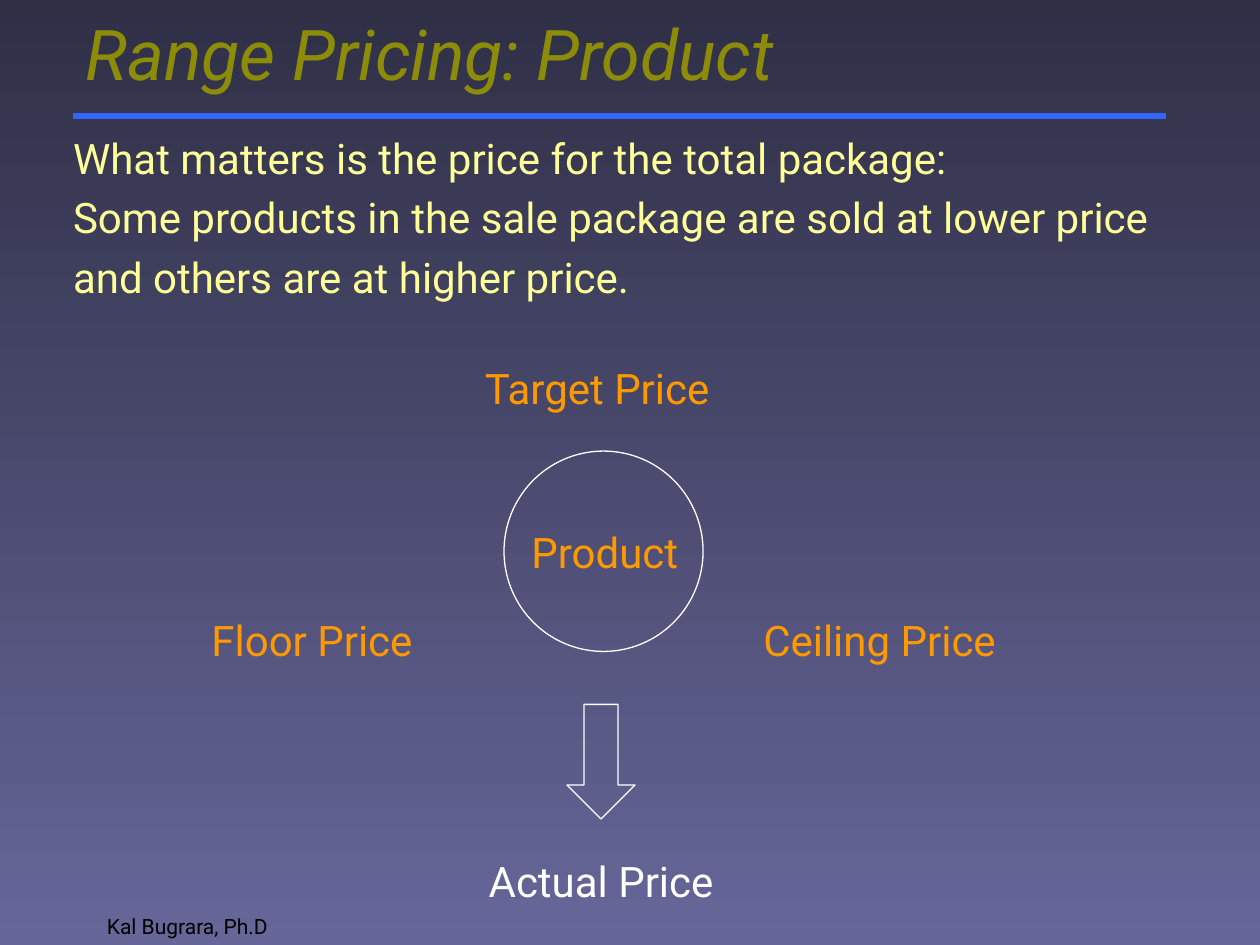
from lxml.etree import SubElement
from pptx import Presentation
from pptx.dml.color import RGBColor
from pptx.enum.shapes import MSO_CONNECTOR, MSO_SHAPE
from pptx.enum.text import MSO_ANCHOR, MSO_AUTO_SIZE, PP_ALIGN
from pptx.oxml.ns import qn
from pptx.util import Inches, Pt

COLORS = {"top": "2F2F46", "bottom": "666699", "rule": "3366FF", "title": "8C8C08",
          "body": "FFFF99", "label": "FF9900", "white": "FFFFFF", "author": "000000"}
FONT = "Roboto"
TITLE = "Range Pricing: Product"
BODY = ["What matters is the price for the total package:",
        "Some products in the sale package are sold at lower price",
        "and others are at higher price."]
LABEL_HEIGHT = 0.5
LABELS = [("Product", 4.12, 4.13, 1.36, "label"),
          ("Target Price", 3.75, 2.83, 2, "label"),
          ("Ceiling Price", 5.96, 4.83, 2.1, "label"),
          ("Floor Price", 1.58, 4.83, 1.83, "label"),
          ("Actual Price", 3.78, 6.74, 2, "white")]
AUTHOR = ("Kal Bugrara, Ph.D", 0.75, 7, 2.08)
OUTLINES = [(MSO_SHAPE.OVAL, (4, 3.58, 1.58, 1.59)),
            (MSO_SHAPE.DOWN_ARROW, (4.5, 5.59, 0.54, 0.91))]
RULE_LEFT, RULE_RIGHT, RULE_Y = 0.58, 9.25, 0.92


def color(name):
    """Return the named palette colour."""
    return RGBColor.from_string(COLORS[name])


def place(part, left, top, width, height):
    """Move and size a part in inches."""
    part.left, part.top, part.width, part.height = map(Inches, (left, top, width, height))


def write(part, lines, size, ink, before=0, anchor=MSO_ANCHOR.TOP, italic=False, wrap=True):
    """Fill a part with left-aligned, unbulleted paragraphs."""
    frame = part.text_frame
    frame.text = "\n".join(lines)
    frame.word_wrap = wrap
    frame.auto_size = MSO_AUTO_SIZE.NONE
    frame.vertical_anchor = anchor
    for paragraph in frame.paragraphs:
        paragraph.alignment = PP_ALIGN.LEFT
        paragraph.space_before = Pt(before)
        paragraph.line_spacing = 1.0
        properties = paragraph._p.get_or_add_pPr()
        properties.set("marL", "0")
        properties.set("indent", "0")
        SubElement(properties, qn("a:buNone"))
        for run in paragraph.runs:
            run.font.name = FONT
            run.font.size = Pt(size)
            run.font.italic = italic
            run.font.color.rgb = color(ink)


deck = Presentation()
deck.slide_width, deck.slide_height = Inches(10), Inches(7.5)
slide = deck.slides.add_slide(deck.slide_layouts[1])
shapes = slide.shapes

backdrop = slide.background.fill
backdrop.gradient()
backdrop.gradient_angle = 270
for stop, name, position in zip(backdrop.gradient_stops, ("top", "bottom"), (0, 1)):
    stop.color.rgb = color(name)
    stop.position = position

rule = shapes.add_connector(MSO_CONNECTOR.STRAIGHT, Inches(RULE_LEFT), Inches(RULE_Y),
                            Inches(RULE_RIGHT), Inches(RULE_Y))
rule.line.color.rgb = color("rule")
rule.line.width = Pt(3)
SubElement(rule._element.spPr, qn("a:effectLst"))

place(shapes.title, RULE_LEFT, 0, RULE_RIGHT - RULE_LEFT, 0.83)
write(shapes.title, [TITLE], 40, "title", anchor=MSO_ANCHOR.MIDDLE, italic=True)

body = slide.placeholders[1]
place(body, 0.48, 1, 8.94, 1.47)
write(body, BODY, 24, "body", before=5.3, wrap=False)

for preset, box in OUTLINES:
    outline = shapes.add_shape(preset, *map(Inches, box))
    outline.shadow.inherit = False
    outline.fill.background()
    outline.line.color.rgb = color("white")
    outline.line.width = Pt(0.75)

for text, left, top, width, ink in LABELS:
    label = shapes.add_textbox(*map(Inches, (left, top, width, LABEL_HEIGHT)))
    write(label, [text], 24, ink, before=5.3, wrap=False)

text, left, top, width = AUTHOR
author = shapes.add_textbox(*map(Inches, (left, top, width, LABEL_HEIGHT)))
write(author, [text], 12, "author", before=6, anchor=MSO_ANCHOR.BOTTOM)

deck.save("out.pptx")
